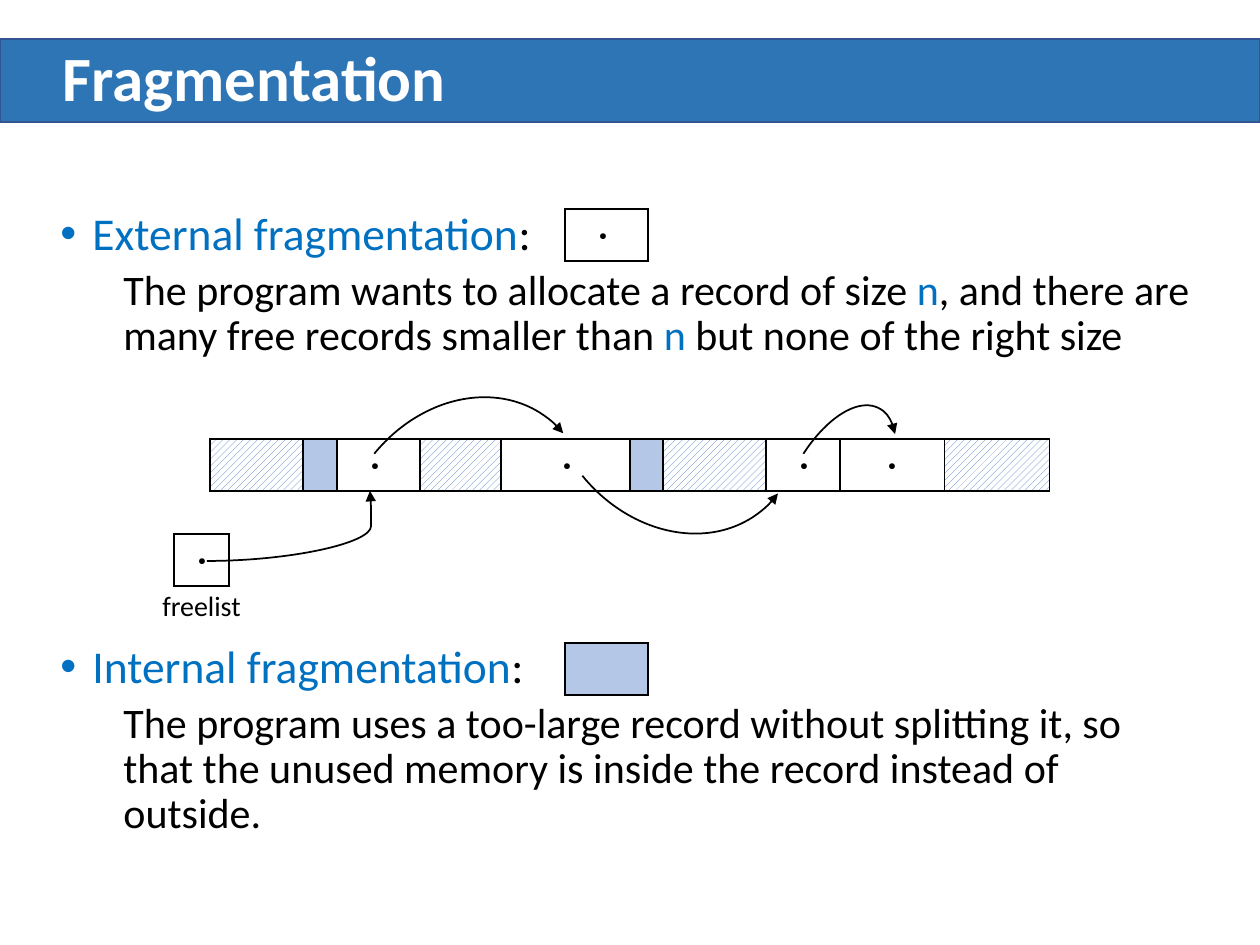
from pptx import Presentation
from pptx.dml.color import RGBColor
from pptx.enum.dml import MSO_PATTERN
from pptx.enum.shapes import MSO_CONNECTOR, MSO_SHAPE
from pptx.enum.text import MSO_ANCHOR, PP_ALIGN
from pptx.oxml import parse_xml
from pptx.oxml.ns import nsdecls, qn
from pptx.util import Pt
from lxml import etree

RECT, ARC = MSO_SHAPE.RECTANGLE, MSO_SHAPE.ARC
CURVE = MSO_CONNECTOR.CURVE
HATCH = MSO_PATTERN.WIDE_UPWARD_DIAGONAL
MIDDLE, TOP = MSO_ANCHOR.MIDDLE, MSO_ANCHOR.TOP
LEFT, CENTER = PP_ALIGN.LEFT, PP_ALIGN.CENTER

FONT = "Calibri"
BLACK, WHITE, BLUE = "000000", "FFFFFF", "0070C0"
BAND, BAND_LINE = "2E75B6", "325491"
UNUSED, STRIPE = "B4C7E7", "4472C4"
EMU_PER_PX = 914400 // 126
ROW_H = 52

# Memory cells: width, kind, and offset of the pointer dot in free cells
MEMORY = [
    (93, "used", None), (34, "unused", None), (83, "free", 34),
    (81, "used", None), (129, "free", 62), (33, "unused", None),
    (103, "used", None), (74, "free", 34), (105, "free", 48),
    (105, "used", None),
]

# Pointer arcs: box, rotation, start angle, end angle, flipped
ARCS = [
    ((323, 413, 280, 233), 306.1, 274.45, 10.1, False),
    ((533, 286, 280, 233), 51, 270, 10.1, True),
    ((738, 447, 195, 97), 296, 296.53, 18.19, False),
]

TOPICS = [
    ("External fragmentation", 10, [
        ("The program wants to allocate a record of size ", BLACK),
        ("n", BLUE),
        (", and there are many free records smaller than ", BLACK),
        ("n ", BLUE),
        ("but none of the right size", BLACK)]),
    ("Internal fragmentation", 162.5, [
        ("The program uses a too-large record without splitting it, so that "
         "the unused memory is inside the record instead of outside.", BLACK)]),
]


def px(n):
    return n * EMU_PER_PX


def box(*lengths):
    return [px(n) for n in lengths]


def rgb(color):
    return RGBColor.from_string(color)


def add_run(p, text, size, color, bold=False):
    r = p.add_run()
    r.text = text
    r.font.name, r.font.size, r.font.bold = FONT, Pt(size), bold
    r.font.color.rgb = rgb(color)


def add_text_box(s, at, anchor=TOP):
    tf = s.shapes.add_textbox(*box(*at)).text_frame
    tf.word_wrap = True
    tf.vertical_anchor = anchor
    return tf


def add_label(s, at, text, size, color, align=LEFT, anchor=TOP, bold=False):
    p = add_text_box(s, at, anchor).paragraphs[0]
    p.alignment = align
    p.line_spacing = 0.9 if bold else 1.0
    add_run(p, text, size, color, bold)


def format_paragraph(p, before, margin, indent=0):
    p.line_spacing, p.space_before = 0.9, Pt(before)
    pPr = p._p.get_or_add_pPr()
    pPr.set("marL", str(px(margin)))
    pPr.set("indent", str(px(indent)))
    return pPr


def add_bullet(pPr, color):
    clr = etree.SubElement(pPr, qn("a:buClr"))
    etree.SubElement(clr, qn("a:srgbClr"), val=color)
    etree.SubElement(pPr, qn("a:buFont"), typeface="Arial")
    etree.SubElement(pPr, qn("a:buChar"), char="•")


def add_topics(s, at):
    tf = add_text_box(s, at)
    for i, (name, before, runs) in enumerate(TOPICS):
        p = tf.add_paragraph() if i else tf.paragraphs[0]
        add_bullet(format_paragraph(p, before, 32, -32), BLUE)
        add_run(p, name, 26, BLUE)
        add_run(p, ":", 26, BLACK)
        p = tf.add_paragraph()
        format_paragraph(p, 5, 63)
        for text, color in runs:
            add_run(p, text, 24, color)


def add_borders(cell):
    tcPr = cell._tc.get_or_add_tcPr()
    for side in ("lnL", "lnR", "lnT", "lnB"):
        tcPr.append(parse_xml(
            f'<a:{side} {nsdecls("a")} w="12700"><a:solidFill>'
            f'<a:srgbClr val="{BLACK}"/></a:solidFill></a:{side}>'))


def fill_cell(cell, kind):
    fill = cell.fill
    if kind == "used":
        fill.patterned()
        fill.pattern = HATCH
        fill.fore_color.rgb, fill.back_color.rgb = rgb(STRIPE), rgb(WHITE)
    elif kind == "unused":
        fill.solid()
        fill.fore_color.rgb = rgb(UNUSED)
    else:
        fill.background()


def add_records(s, x, y, records):
    """Draw a row of memory records as a one-row table."""
    width = sum(w for w, _, _ in records)
    table = s.shapes.add_table(1, len(records), *box(x, y, width, ROW_H)).table
    table.first_row = table.horz_banding = False
    for i, (w, kind, dot) in enumerate(records):
        table.columns[i].width = px(w)
        cell = table.cell(0, i)
        add_borders(cell)
        fill_cell(cell, kind)
        if dot:
            cell.margin_left, cell.margin_right = px(dot), 0
            add_run(cell.text_frame.paragraphs[0], "·", 18, BLACK, True)


def style_arrow(shape):
    shape.line.color.rgb, shape.line.width = rgb(BLACK), Pt(1)
    etree.SubElement(shape.line._get_or_add_ln(), qn("a:tailEnd"),
                     type="triangle")


def add_arc(s, at, rotation, start, end, flipped):
    sp = s.shapes.add_shape(ARC, *box(*at))
    sp.shadow.inherit = False
    sp.fill.background()
    sp.rotation = rotation
    # Angles are stored in 60000ths of a degree, adjustments in 100000ths
    sp.adjustments[0], sp.adjustments[1] = start * 0.6, end * 0.6
    if flipped:
        sp._element.spPr.find(qn("a:xfrm")).set("flipV", "1")
    style_arrow(sp)


def add_curve(s, x1, y1, x2, y2, bend):
    c = s.shapes.add_connector(CURVE, *box(x1, y1, x2, y2))
    style_arrow(c)
    spPr = c._element.spPr
    etree.SubElement(spPr, qn("a:effectLst"))
    guides = spPr.find(qn("a:prstGeom")).find(qn("a:avLst"))
    etree.SubElement(guides, qn("a:gd"), name="adj1", fmla=f"val {bend}")


def add_band(s, at):
    sp = s.shapes.add_shape(RECT, *box(*at))
    sp.shadow.inherit = False
    sp.fill.solid()
    sp.fill.fore_color.rgb = rgb(BAND)
    sp.line.color.rgb, sp.line.width = rgb(BAND_LINE), Pt(1)


def main():
    prs = Presentation()
    prs.slide_width, prs.slide_height = box(1260, 945)
    s = prs.slides.add_slide(prs.slide_layouts[6])
    add_band(s, (0, 39, 1260, 83))
    add_label(s, (50, 40, 1164, 82), "Fragmentation", 36, WHITE,
              anchor=MIDDLE, bold=True)
    add_topics(s, (48, 205, 1164, 709))
    add_records(s, 210, 439, MEMORY)
    add_records(s, 174, 534, [(55, "free", 24)])
    add_label(s, (149, 582, 105, 47), "freelist", 16, BLACK, CENTER)
    add_curve(s, 207, 561, 370, 491, 100700)
    for arc in ARCS:
        add_arc(s, *arc)
    add_records(s, 565, 209, [(83, "free", 34)])
    add_records(s, 565, 643, [(83, "unused", None)])
    prs.save("out.pptx")


if __name__ == "__main__":
    main()
